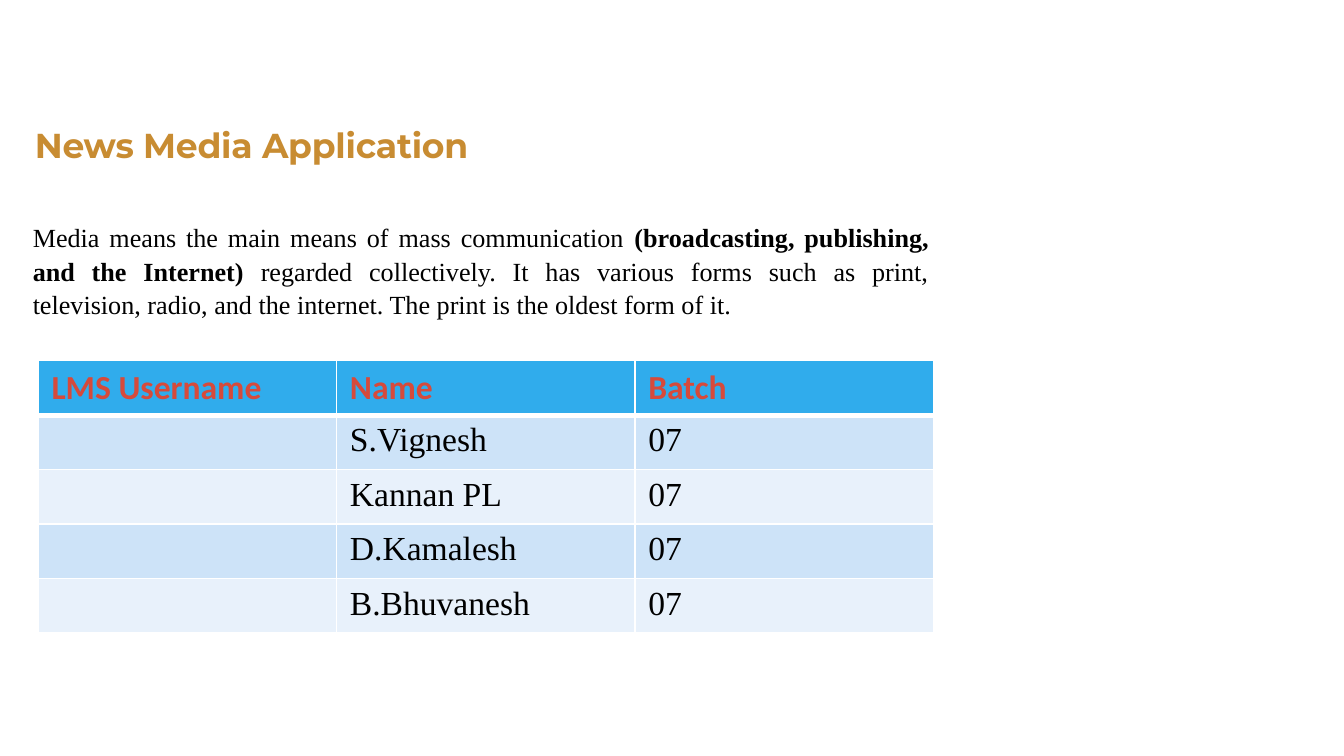
from lxml import etree
from pptx import Presentation
from pptx.dml.color import RGBColor
from pptx.enum.text import PP_ALIGN
from pptx.oxml.ns import qn
from pptx.util import Cm, Pt

LEFT, JUSTIFY = PP_ALIGN.LEFT, PP_ALIGN.JUSTIFY

COLORS = {
    "gold": "C88C32",
    "black": "000000",
    "red": "D64A3B",
    "header": "30ACEC",
    "band_dark": "CDE3F8",
    "band_light": "E8F1FB",
    "border": "FFFFFF",
}
TITLE = {"name": "Montserrat", "size": Pt(18.5), "bold": True, "color": "gold"}
BODY = {"name": "Times New Roman", "size": Pt(14), "bold": False, "color": "black"}
STRONG = {**BODY, "bold": True}
HEADING = {"name": "Calibri", "size": Pt(18), "bold": True, "color": "red"}
ENTRY = {**BODY, "size": Pt(18)}

MEMBERS = ["S.Vignesh", "Kannan PL", "D.Kamalesh", "B.Bhuvanesh"]
ROWS = [["LMS Username", "Name", "Batch"]] + [["", name, "07"] for name in MEMBERS]


class PageBuilder:
    def __init__(self, page):
        self.page = page

    def span(self, para, text, style):
        span = para.add_run()
        span.text = text
        for key, value in style.items():
            if key == "color":
                span.font.color.rgb = RGBColor.from_string(COLORS[value])
            else:
                setattr(span.font, key, value)
        return span

    def text(self, left, top, width, height, spans, spacing, align=LEFT):
        """Add a one-paragraph box from (text, style) pairs with exact line spacing."""
        box = self.page.shapes.add_textbox(Cm(left), Cm(top), Cm(width), Cm(height))
        frame = box.text_frame
        margins = {f"margin_{side}": 0 for side in ("left", "top", "right", "bottom")}
        for key, value in {"word_wrap": True, **margins}.items():
            setattr(frame, key, value)
        para = frame.paragraphs[0]
        para.alignment = align
        para.line_spacing = Pt(spacing)
        return [self.span(para, text, style) for text, style in spans]

    def borders(self, cell, top, bottom):
        """Draw all four cell borders; top and bottom are widths in points."""
        properties = cell._tc.get_or_add_tcPr()
        for side, width in {"L": 1, "R": 1, "T": top, "B": bottom}.items():
            line = etree.SubElement(properties, qn(f"a:ln{side}"), w=str(Pt(width)))
            fill = etree.SubElement(line, qn("a:solidFill"))
            etree.SubElement(fill, qn("a:srgbClr"), val=COLORS["border"])

    def table(self, left, top, column_width, row_height, rows):
        columns = len(rows[0])
        table = self.page.shapes.add_table(
            len(rows), columns, Cm(left), Cm(top),
            Cm(column_width * columns), Cm(row_height * len(rows))).table
        for column in table.columns:
            column.width = Cm(column_width)
        for r, values in enumerate(rows):
            table.rows[r].height = Cm(row_height)
            band = "header" if r == 0 else "band_dark" if r % 2 else "band_light"
            for c, value in enumerate(values):
                cell = table.cell(r, c)
                self.borders(cell, 3 if r == 1 else 1, 3 if r == 0 else 1)
                cell.fill.solid()
                cell.fill.fore_color.rgb = RGBColor.from_string(COLORS[band])
                if value:
                    style = ENTRY if r else HEADING
                    self.span(cell.text_frame.paragraphs[0], value, style)


def main():
    deck = Presentation()
    deck.slide_width, deck.slide_height = Cm(25.4), Cm(14.28)
    builder = PageBuilder(deck.slides.add_slide(deck.slide_layouts[6]))

    title, = builder.text(0.66, 2.29, 11.46, 0.81,
                          [("News Media Application", TITLE)], 23.8)
    title.font._element.set("spc", "-10")
    builder.text(0.62, 4.14, 16.94, 1.88, [
        ("Media means the main means of mass communication ", BODY),
        ("(broadcasting, publishing, and the Internet) ", STRONG),
        ("regarded collectively. It has various forms such as print, television, "
         "radio, and the internet. The print is the oldest form of it.", BODY),
    ], 18, JUSTIFY)
    builder.table(0.72, 6.81, 5.64, 1.03, ROWS)

    deck.save("out.pptx")


if __name__ == "__main__":
    main()
